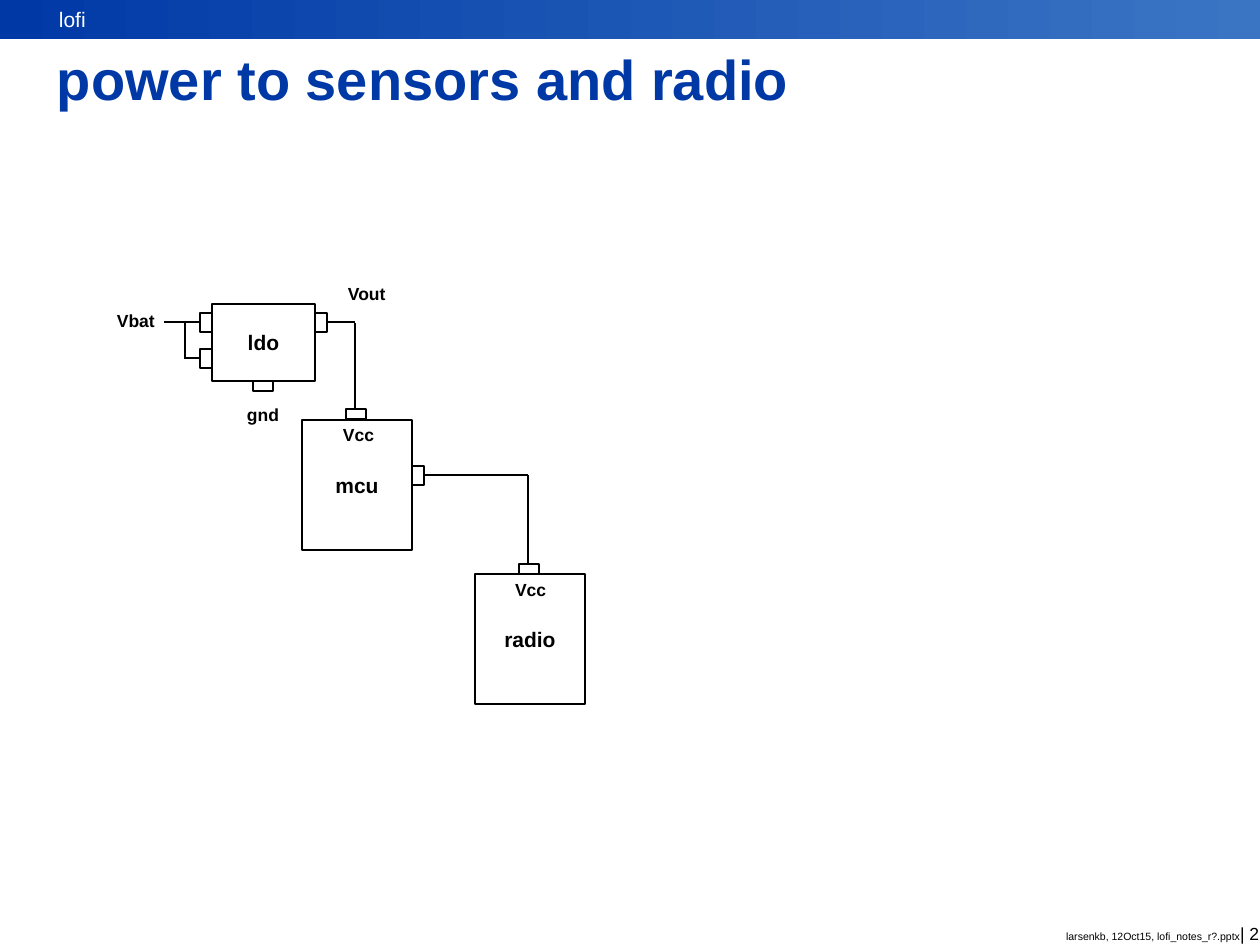
from typing import NamedTuple

from lxml.etree import SubElement
from pptx import Presentation
from pptx.dml.color import RGBColor
from pptx.enum.shapes import MSO_CONNECTOR, MSO_SHAPE
from pptx.enum.text import MSO_ANCHOR as ANCHOR, MSO_AUTO_SIZE as FIT, PP_ALIGN as ALIGN
from pptx.oxml.ns import qn
from pptx.util import Emu, Inches, Pt

BLACK = RGBColor(0x00, 0x00, 0x00)
WHITE = RGBColor(0xFF, 0xFF, 0xFF)
NAVY = RGBColor(0x00, 0x39, 0xA6)
SKY = RGBColor(0x3A, 0x75, 0xC4)
FONT = "Arial"
PX_PER_INCH = 126


class Box(NamedTuple):
    x: int
    y: int
    w: int
    h: int
    text: str = ""


class Wire(NamedTuple):
    x1: int
    y1: int
    x2: int
    y2: int


def px(n: int) -> Emu:
    return Emu(round(n * Inches(1) / PX_PER_INCH))


def place(box: Box) -> list[Emu]:
    return [px(n) for n in box[:4]]


def set_margins(tf, left: int = 0, other: int = 0) -> None:
    tf.margin_left = px(left)
    tf.margin_top = tf.margin_right = tf.margin_bottom = px(other)


def add_run(p, text: str, size: int, color: RGBColor = BLACK, bold: bool = False) -> None:
    r = p.add_run()
    r.text = text
    r.font.name = FONT
    r.font.size = Pt(size)
    r.font.bold = bold
    r.font.color.rgb = color


def add_rect(shapes, box: Box):
    sp = shapes.add_shape(MSO_SHAPE.RECTANGLE, *place(box))
    sp.shadow.inherit = False
    sp.fill.background()
    sp.line.color.rgb = BLACK
    sp.line.width = Pt(1)
    if box.text:
        tf = sp.text_frame
        tf.vertical_anchor = ANCHOR.MIDDLE
        p = tf.paragraphs[0]
        p.alignment = ALIGN.CENTER
        add_run(p, box.text, 12, bold=True)
    return sp


def add_label(shapes, box: Box) -> None:
    tf = shapes.add_textbox(*place(box)).text_frame
    set_margins(tf)
    tf.word_wrap = False
    tf.auto_size = FIT.SHAPE_TO_FIT_TEXT
    add_run(tf.paragraphs[0], box.text, 10, bold=True)


def add_wire(shapes, wire: Wire) -> None:
    line = shapes.add_connector(MSO_CONNECTOR.STRAIGHT, *(px(n) for n in wire))
    line.line.color.rgb = BLACK
    line.line.width = Pt(1.5)
    SubElement(line._element.spPr, qn("a:effectLst"))


def side_pin(x: int, y: int) -> Box:
    return Box(x, y, 12, 19)


def end_pin(x: int, y: int) -> Box:
    return Box(x, y, 20, 10)


CHIPS = [
    Box(212, 304, 103, 77, "ldo"),
    Box(302, 420, 110, 130, "mcu"),
    Box(475, 574, 110, 130, "radio"),
]
PINS = [
    side_pin(200, 313), side_pin(200, 349), side_pin(315, 313), side_pin(412, 466),
    end_pin(253, 381), end_pin(346, 409), end_pin(519, 564),
]
WIRES = [
    Wire(164, 322, 200, 322),  # battery to ldo
    Wire(185, 359, 185, 322),
    Wire(185, 358, 200, 358),
    Wire(327, 322, 355, 322),  # ldo to mcu
    Wire(355, 409, 355, 323),
    Wire(424, 475, 528, 475),  # mcu to radio
    Wire(528, 564, 528, 475),
]
LABELS = [
    Box(117, 310, 38, 21, "Vbat"),
    Box(348, 283, 39, 21, "Vout"),
    Box(247, 404, 33, 21, "gnd"),
    Box(343, 424, 32, 21, "Vcc"),
    Box(515, 579, 32, 21, "Vcc"),
]

prs = Presentation()
prs.slide_width, prs.slide_height = px(1260), px(945)
slide = prs.slides.add_slide(prs.slide_layouts[5])
shapes = slide.shapes

# Header band
band = add_rect(shapes, Box(0, 0, 1260, 39))
band.line.fill.background()
band.fill.gradient()
band.fill.gradient_angle = 0
for stop, color in zip(band.fill.gradient_stops, (NAVY, SKY)):
    stop.color.rgb = color
tf = band.text_frame
set_margins(tf, left=59)
tf.vertical_anchor = ANCHOR.MIDDLE
p = tf.paragraphs[0]
p.alignment = ALIGN.LEFT
add_run(p, "lofi", 12, WHITE)

# Title
title = shapes.title
title.left, title.top, title.width, title.height = place(Box(57, 52, 1144, 60))
tf = title.text_frame
set_margins(tf)
tf.word_wrap = True
tf.auto_size = FIT.SHAPE_TO_FIT_TEXT
tf.vertical_anchor = ANCHOR.TOP
p = tf.paragraphs[0]
p.alignment = ALIGN.LEFT
p.line_spacing = 0.9
add_run(p, "power to sensors and radio", 32, NAVY, bold=True)

# Circuit
for block in CHIPS + PINS:
    add_rect(shapes, block)
for wire in WIRES:
    add_wire(shapes, wire)
for label in LABELS:
    add_label(shapes, label)

# Footer
tf = shapes.add_textbox(*place(Box(1014, 927, 246, 18))).text_frame
set_margins(tf, left=1, other=1)
tf.word_wrap = True
tf.vertical_anchor = ANCHOR.BOTTOM
p = tf.paragraphs[0]
p.alignment = ALIGN.RIGHT
add_run(p, "larsenkb, 12Oct15, lofi_notes_r?.pptx", 6)
add_run(p, "| 2", 10)

prs.save("out.pptx")
